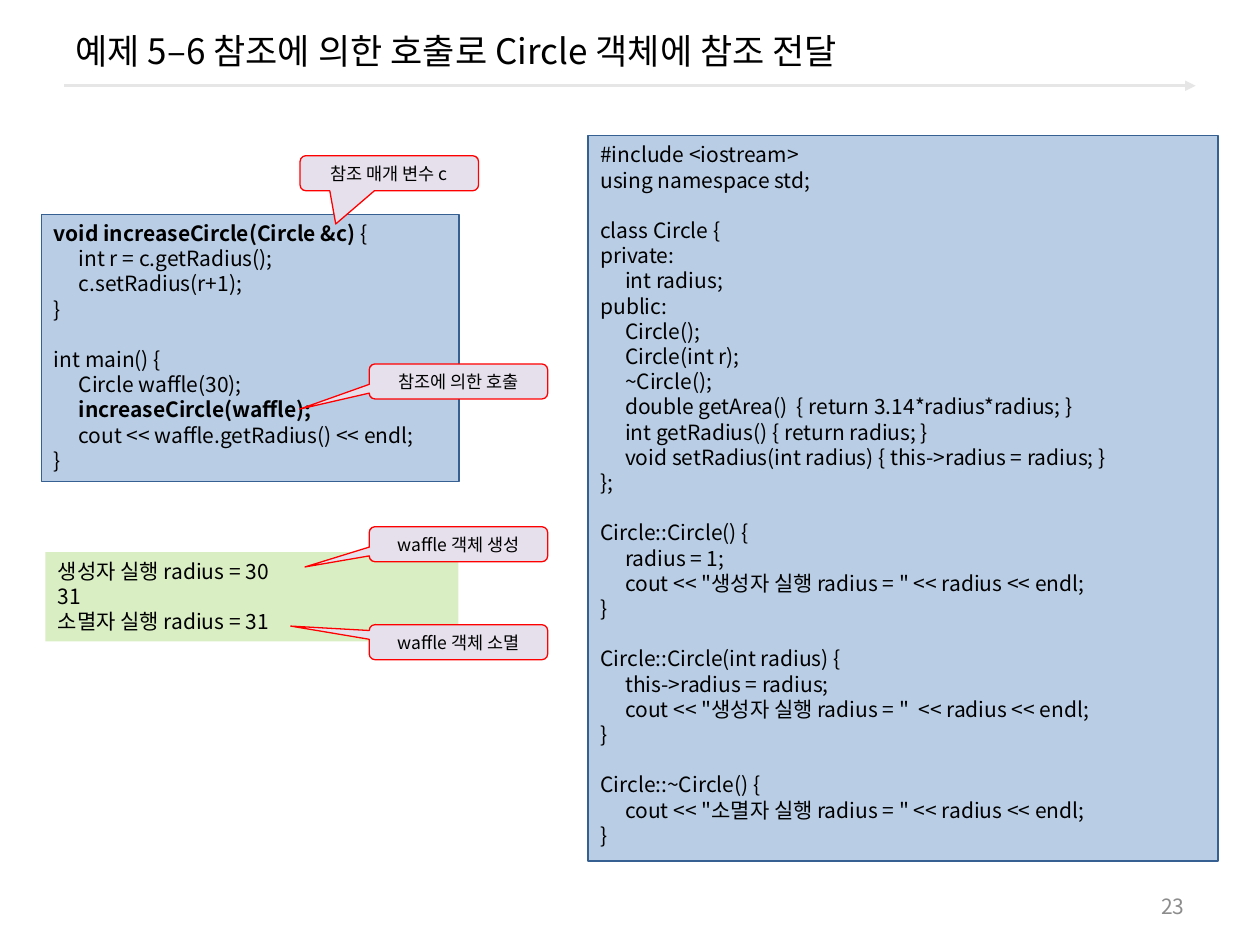
from dataclasses import dataclass

from lxml import etree
from pptx import Presentation
from pptx.dml.color import RGBColor
from pptx.enum import shapes, text
from pptx.oxml import ns
from pptx.util import Pt


@dataclass(frozen=True)
class Theme:
    font: str = "Noto Sans CJK KR"
    ink: str = "000000"
    muted: str = "8C8C8C"
    rule: str = "E6E6E6"
    code_fill: str = "B9CDE5"
    code_line: str = "376092"
    output_fill: str = "DAEEC4"
    callout_fill: str = "E6E0EC"
    callout_line: str = "FF0000"
    title_size: float = 20
    code_size: float = 12
    label_size: float = 10
    code_pitch: float = 14.4
    indent: float = 14.2


CIRCLE_CLASS = '''#include <iostream>
using namespace std;

class Circle {
private:
\tint radius;
public:
\tCircle();
\tCircle(int r);
\t~Circle();
\tdouble getArea()  { return 3.14*radius*radius; }
\tint getRadius() { return radius; }
\tvoid setRadius(int radius) { this->radius = radius; }
};

Circle::Circle() {
\tradius = 1;
\tcout << "생성자 실행 radius = " << radius << endl;
}

Circle::Circle(int radius) {
\tthis->radius = radius;
\tcout << "생성자 실행 radius = "  << radius << endl;
}

Circle::~Circle() {
\tcout << "소멸자 실행 radius = " << radius << endl;
}'''

# Text between ** marks is bold
MAIN_PROGRAM = '''**void increaseCircle(Circle &c) **{
\tint r = c.getRadius();
\tc.setRadius(r+1);
}

int main() {
\tCircle waffle(30);
\t**increaseCircle(waffle);**
\tcout << waffle.getRadius() << endl;
}'''

OUTPUT = '''생성자 실행 radius = 30
31
소멸자 실행 radius = 31'''


class SlideBuilder:
    def __init__(self, slide, theme):
        self.slide = slide
        self.theme = theme

    def add_text(self, paragraph, content, size, color=None, **formats):
        for name, value in formats.items():
            setattr(paragraph, name, value)
        for index, part in enumerate(content.split("**")):
            if not part:
                continue
            run = paragraph.add_run()
            run.text = part
            values = {"name": self.theme.font, "size": Pt(size), "bold": index % 2 == 1}
            for name, value in values.items():
                setattr(run.font, name, value)
            run.font.color.rgb = RGBColor.from_string(color or self.theme.ink)
            east_asian = etree.SubElement(run._r.get_or_add_rPr(), ns.qn("a:ea"))
            east_asian.set("typeface", self.theme.font)

    def frame(self, shape, anchor):
        values = {
            "word_wrap": True, "auto_size": text.MSO_AUTO_SIZE.NONE, "vertical_anchor": anchor,
            "margin_left": Pt(7.2), "margin_right": Pt(7.2),
            "margin_top": Pt(3.6), "margin_bottom": Pt(3.6),
        }
        for name, value in values.items():
            setattr(shape.text_frame, name, value)
        return shape.text_frame

    def shape(self, kind, box, fill, line):
        shape = self.slide.shapes.add_shape(kind, *map(Pt, box))
        shape.shadow.inherit = False
        shape.fill.solid()
        shape.fill.fore_color.rgb = RGBColor.from_string(fill)
        if line:
            shape.line.color.rgb = RGBColor.from_string(line)
            shape.line.width = Pt(0.75)
        else:
            shape.line.fill.background()
        return shape

    def title(self, content, box):
        title = self.slide.shapes.title
        for name, value in zip(("left", "top", "width", "height"), box):
            setattr(title, name, Pt(value))
        frame = self.frame(title, text.MSO_ANCHOR.MIDDLE)
        self.add_text(frame.paragraphs[0], content, self.theme.title_size,
                      alignment=text.PP_ALIGN.LEFT)

    def arrow(self, start, end):
        arrow = self.slide.shapes.add_connector(
            shapes.MSO_CONNECTOR.STRAIGHT, *map(Pt, start + end))
        arrow.line.color.rgb = RGBColor.from_string(self.theme.rule)
        arrow.line.width = Pt(1.5)
        properties = arrow._element.spPr
        head = etree.SubElement(properties.find(ns.qn("a:ln")), ns.qn("a:tailEnd"))
        head.set("type", "triangle")
        etree.SubElement(properties, ns.qn("a:effectLst"))

    def page_number(self, content, box):
        label = self.slide.shapes.add_textbox(*map(Pt, box))
        frame = self.frame(label, text.MSO_ANCHOR.MIDDLE)
        self.add_text(frame.paragraphs[0], content, self.theme.code_size, self.theme.muted,
                      alignment=text.PP_ALIGN.RIGHT)

    def listing(self, content, box, fill, line=None):
        shape = self.shape(shapes.MSO_SHAPE.RECTANGLE, box, fill, line)
        frame = self.frame(shape, text.MSO_ANCHOR.TOP)
        pitch = Pt(self.theme.code_pitch)
        # An empty source line becomes space before the next paragraph
        for block_index, block in enumerate(content.split("\n\n")):
            for line_index, code in enumerate(block.split("\n")):
                first = block_index == line_index == 0
                paragraph = frame.paragraphs[0] if first else frame.add_paragraph()
                paragraph.line_spacing = pitch
                paragraph.space_before = pitch if block_index and not line_index else Pt(0)
                if code.startswith("\t"):
                    properties = paragraph._p.get_or_add_pPr()
                    tabs = etree.SubElement(properties, ns.qn("a:tabLst"))
                    tab = etree.SubElement(tabs, ns.qn("a:tab"))
                    tab.set("pos", str(Pt(self.theme.indent)))
                    tab.set("algn", "l")
                self.add_text(paragraph, code, self.theme.code_size,
                              alignment=text.PP_ALIGN.LEFT)

    def callout(self, content, left, top, pointer):
        shape = self.shape(shapes.MSO_SHAPE.ROUNDED_RECTANGULAR_CALLOUT, (left, top, 102, 20),
                           self.theme.callout_fill, self.theme.callout_line)
        for index, value in enumerate(pointer):
            shape.adjustments[index] = value
        frame = self.frame(shape, text.MSO_ANCHOR.MIDDLE)
        self.add_text(frame.paragraphs[0], content, self.theme.label_size,
                      alignment=text.PP_ALIGN.CENTER)


def main():
    presentation = Presentation()
    presentation.slide_width, presentation.slide_height = Pt(720), Pt(540)
    slide = presentation.slides.add_slide(presentation.slide_layouts[5])
    theme = Theme()
    builder = SlideBuilder(slide, theme)

    # Heading and page number
    builder.arrow((36.75, 49), (683.25, 49))
    builder.title("예제 5–6 참조에 의한 호출로 Circle 객체에 참조 전달", (36, 6, 648, 46))
    builder.page_number("23", (516, 506, 168, 23))

    # Code and program output
    builder.listing(CIRCLE_CLASS, (336, 77.5, 360, 414.5), theme.code_fill, theme.code_line)
    builder.listing(MAIN_PROGRAM, (23.75, 122.5, 238.5, 152.5), theme.code_fill, theme.code_line)
    builder.listing(OUTPUT, (26, 315.5, 236, 51), theme.output_fill)

    # Callouts
    builder.callout("waffle 객체 생성", 211, 301, (-0.86, 0.65))
    builder.callout("waffle 객체 소멸", 211, 357, (-0.94, -0.46))
    builder.callout("참조에 의한 호출", 211, 208, (-0.89, 0.79))
    builder.callout("참조 매개 변수 c", 171.5, 89, (-0.3, 1.45))

    presentation.save("out.pptx")


if __name__ == "__main__":
    main()
